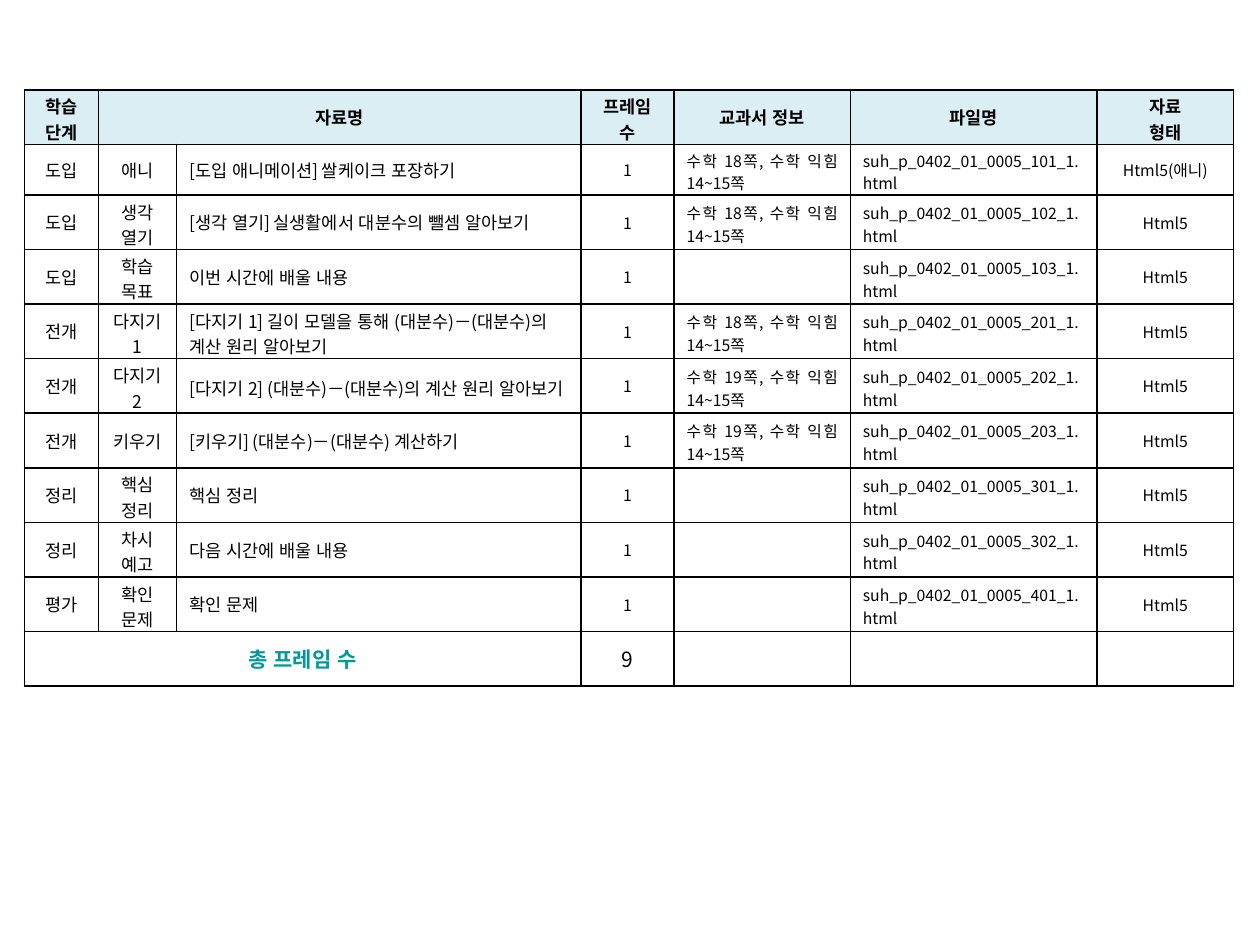
"""Build a lesson slide listing the materials for each learning step."""
from lxml import etree
from pptx import Presentation
from pptx.dml.color import RGBColor
from pptx.enum.lang import MSO_LANGUAGE_ID
from pptx.enum.text import MSO_ANCHOR, PP_ALIGN
from pptx.oxml.ns import qn
from pptx.util import Cm, Pt

CENTER, LEFT, JUSTIFY = PP_ALIGN.CENTER, PP_ALIGN.LEFT, PP_ALIGN.JUSTIFY
MIDDLE = MSO_ANCHOR.MIDDLE
KOREAN = MSO_LANGUAGE_ID.KOREAN
BLANK_LAYOUT = 6

COLUMN_WIDTHS = [1.5, 1.57, 8.15, 1.88, 3.55, 4.97, 2.76]
ROW_HEIGHT = 1.1
INTRO_HEIGHT = 1.02
COLUMN_ALIGNMENTS = [CENTER, CENTER, LEFT, CENTER, JUSTIFY, JUSTIFY, CENTER]
COLUMN_SIZES = [10, 10, 10, 9, 9, 9, 9]

HEADER = ["학습 단계", "자료명", "", "프레임 수", "교과서 정보", "파일명", "자료\n형태"]
WRAPPED_HEADERS = {0, 3, 6}
WRAPPED_COLUMNS = {1, 4, 5}
LONG_NAME = 25
PAGES_18 = "수학 18쪽, 수학 익힘 14~15쪽"
PAGES_19 = "수학 19쪽, 수학 익힘 14~15쪽"
MATERIALS = [
    ("도입", "애니", "[도입 애니메이션] 쌀케이크 포장하기", PAGES_18, 101, "Html5(애니)"),
    ("도입", "생각 열기", "[생각 열기] 실생활에서 대분수의 뺄셈 알아보기", PAGES_18, 102, "Html5"),
    ("도입", "학습 목표", "이번 시간에 배울 내용", "", 103, "Html5"),
    ("전개", "다지기 1", "[다지기 1] 길이 모델을 통해 (대분수)－(대분수)의 계산 원리 알아보기",
     PAGES_18, 201, "Html5"),
    ("전개", "다지기 2", "[다지기 2] (대분수)－(대분수)의 계산 원리 알아보기",
     PAGES_19, 202, "Html5"),
    ("전개", "키우기", "[키우기] (대분수)－(대분수) 계산하기", PAGES_19, 203, "Html5"),
    ("정리", "핵심 정리", "핵심 정리", "", 301, "Html5"),
    ("정리", "차시 예고", "다음 시간에 배울 내용", "", 302, "Html5"),
    ("평가", "확인 문제", "확인 문제", "", 401, "Html5"),
]


def color(value):
    return RGBColor.from_string(value)


def is_wrapped(column, text):
    if column == 1:
        return " " in text
    if column == 2:
        return len(text) > LONG_NAME and "대분수)" in text
    return column in WRAPPED_COLUMNS


class SlideBuilder:
    """Hold the style and the current slide, and add elements to it."""

    font_name = "Noto Sans CJK KR"
    text_color = "000000"
    border_color = "000000"
    border_width = Pt(1)
    header_fill = "DBEEF4"
    total_color = "009999"
    wrapped_margin_top = Cm(0.08)

    def __init__(self, presentation):
        layout = presentation.slide_layouts[BLANK_LAYOUT]
        self.slide = presentation.slides.add_slide(layout)

    def add_table(self, left, top, column_widths, row_heights):
        shape = self.slide.shapes.add_table(
            len(row_heights), len(column_widths), Cm(left), Cm(top),
            Cm(sum(column_widths)), Cm(sum(row_heights)))
        table = shape.table
        table.first_row = table.horz_banding = False
        for column, width in zip(table.columns, column_widths):
            column.width = Cm(width)
        for row, height in zip(table.rows, row_heights):
            row.height = Cm(height)
        for cell in table.iter_cells():
            self.add_borders(cell)
            cell.fill.background()
        return table

    def add_borders(self, cell):
        properties = cell._tc.get_or_add_tcPr()
        for side in ("a:lnL", "a:lnR", "a:lnT", "a:lnB"):
            line = etree.SubElement(properties, qn(side), w=str(self.border_width))
            fill = etree.SubElement(line, qn("a:solidFill"))
            etree.SubElement(fill, qn("a:srgbClr"), val=self.border_color)

    def write_cell(self, cell, text, size, alignment=CENTER, bold=False,
                   text_color=None, fill=None, wrapped=False):
        cell.vertical_anchor = MIDDLE
        if wrapped:
            cell.margin_top = self.wrapped_margin_top
            cell.margin_bottom = 0
        if fill:
            cell.fill.solid()
            cell.fill.fore_color.rgb = color(fill)
        cell.text_frame.text = text
        for paragraph in cell.text_frame.paragraphs:
            paragraph.alignment = alignment
            for run in paragraph.runs:
                run.font.size = Pt(size)
                run.font.bold = bold
                run.font.name = self.font_name
                run.font.language_id = KOREAN
                run.font.color.rgb = color(text_color or self.text_color)
                run.font._element.set("kern", "0")
                etree.SubElement(run.font._element, qn("a:ea"), typeface=self.font_name)

    def add_materials_table(self, left, top):
        row_heights = [ROW_HEIGHT, INTRO_HEIGHT] + [ROW_HEIGHT] * len(MATERIALS)
        table = self.add_table(left, top, COLUMN_WIDTHS, row_heights)
        for column, text in enumerate(HEADER):
            self.write_cell(table.cell(0, column), text, 10, bold=True,
                            fill=self.header_fill, wrapped=column in WRAPPED_HEADERS)
        table.cell(0, 1).merge(table.cell(0, 2))

        for row, (step, part, name, pages, number, kind) in enumerate(MATERIALS, 1):
            file_name = f"suh_p_0402_01_0005_{number}_1.html"
            values = [step, part, name, "1", pages, file_name, kind]
            for column, text in enumerate(values):
                self.write_cell(table.cell(row, column), text, COLUMN_SIZES[column],
                                COLUMN_ALIGNMENTS[column],
                                wrapped=is_wrapped(column, text))

        total_row = len(MATERIALS) + 1
        table.cell(total_row, 0).merge(table.cell(total_row, 2))
        self.write_cell(table.cell(total_row, 0), "총 프레임 수", 12, bold=True,
                        text_color=self.total_color)
        self.write_cell(table.cell(total_row, 3), str(len(MATERIALS)), 12)


def main():
    presentation = Presentation()
    presentation.slide_width = Cm(25.4)
    presentation.slide_height = Cm(19.05)
    builder = SlideBuilder(presentation)
    builder.add_materials_table(0.49, 1.81)
    presentation.save("out.pptx")


if __name__ == "__main__":
    main()
